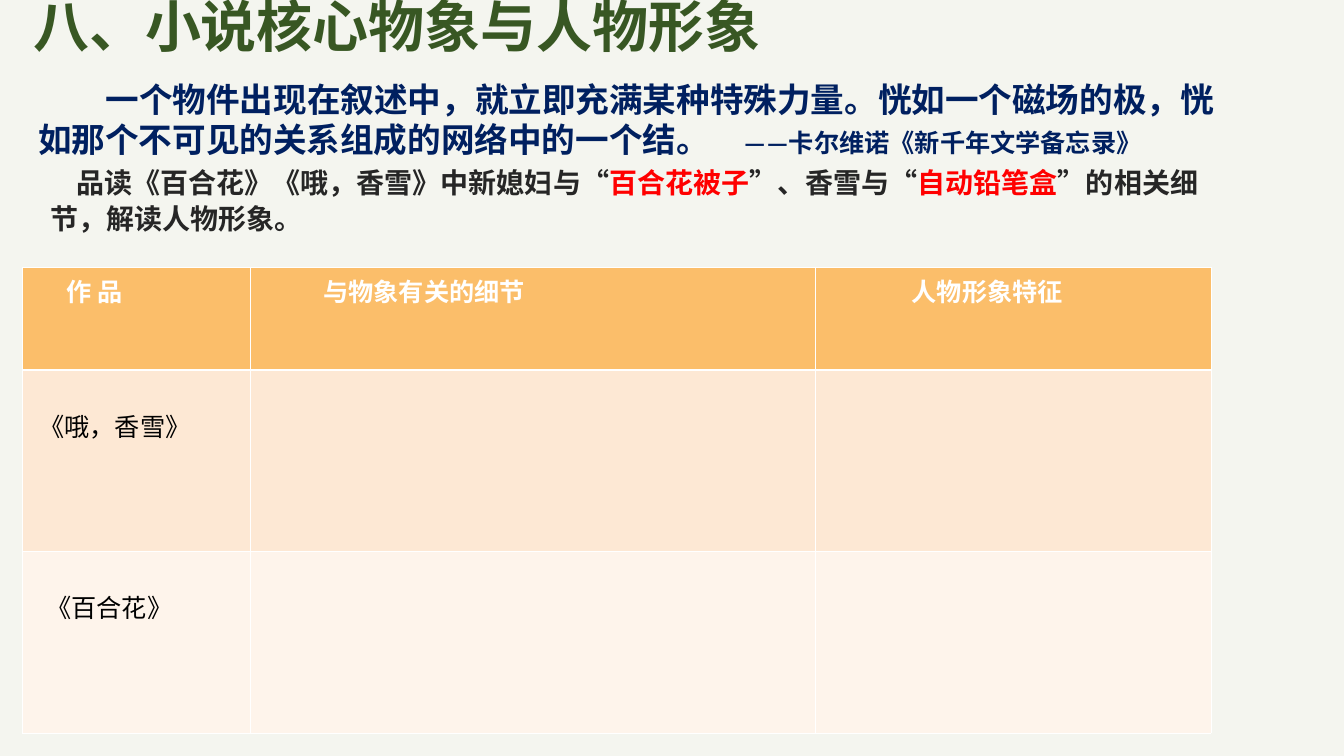
import dataclasses

import lxml.etree
import pptx
import pptx.dml.color
import pptx.oxml.ns
import pptx.util

Inches = pptx.util.Inches
Pt = pptx.util.Pt


@dataclasses.dataclass(frozen=True)
class Theme:
    """Colours, fonts and type sizes of the slide."""
    background: str = "F4F5EF"
    title: str = "385723"
    quote: str = "002060"
    body: str = "262626"
    accent: str = "FF0000"
    header_text: str = "FFFFFF"
    cell_text: str = "000000"
    border: str = "FFFFFF"
    row_fills: tuple = ("FBBE6A", "FDE8D4", "FEF4EB")
    chinese_font: str = "Noto Sans CJK SC"
    quote_font: str = "Calibri"
    table_font: str = "Arial"
    title_size: int = 40
    quote_size: int = 24
    body_size: int = 20
    small_size: int = 18
    thin_line: float = 0.45
    thick_line: float = 1.47


class SlideBuilder:
    """Hold the theme and the current slide, and add elements to it."""

    def __init__(self, presentation, theme):
        """Add a blank slide with the theme background."""
        self.theme = theme
        self.slide = presentation.slides.add_slide(presentation.slide_layouts[6])
        fill = self.slide.background.fill
        fill.solid()
        fill.fore_color.rgb = self.color(theme.background)

    @staticmethod
    def color(value):
        """Turn a hex string into a colour."""
        return pptx.dml.color.RGBColor.from_string(value)

    def run(self, paragraph, text, color, size, name, east_asian, bold=True):
        """Add one formatted run to a paragraph."""
        run = paragraph.add_run()
        run.text = text
        for attribute, value in {"name": name, "size": Pt(size), "bold": bold}.items():
            setattr(run.font, attribute, value)
        run.font.color.rgb = self.color(color)
        properties = run.font._element
        lxml.etree.SubElement(properties, pptx.oxml.ns.qn("a:ea"), typeface=east_asian)

    def text(self, box, margins, runs, font, indent=0, tab=None, **spacing):
        """Add a wrapped text box holding one paragraph of (text, colour, size) runs."""
        shape = self.slide.shapes.add_textbox(*map(Inches, box))
        frame = shape.text_frame
        frame.word_wrap = True
        sides = ("margin_left", "margin_top", "margin_right", "margin_bottom")
        for side, margin in zip(sides, margins):
            setattr(frame, side, Inches(margin))
        paragraph = frame.paragraphs[0]
        for attribute, value in spacing.items():
            setattr(paragraph, attribute, value)
        properties = paragraph._p.get_or_add_pPr()
        properties.set("indent", str(Inches(indent)))
        if tab:
            tabs = lxml.etree.SubElement(properties, pptx.oxml.ns.qn("a:tabLst"))
            lxml.etree.SubElement(tabs, pptx.oxml.ns.qn("a:tab"), pos=str(Inches(tab)), algn="l")
        for text, color, size in runs:
            self.run(paragraph, text, color, size, font, font)

    def borders(self, cell, row):
        """Draw the four cell borders, thick between header and body."""
        properties = cell._tc.get_or_add_tcPr()
        for side in "LRTB":
            thick = (row, side) in ((0, "B"), (1, "T"))
            width = self.theme.thick_line if thick else self.theme.thin_line
            line = lxml.etree.SubElement(
                properties, pptx.oxml.ns.qn(f"a:ln{side}"), w=str(Pt(width)))
            fill = lxml.etree.SubElement(line, pptx.oxml.ns.qn("a:solidFill"))
            lxml.etree.SubElement(fill, pptx.oxml.ns.qn("a:srgbClr"), val=self.theme.border)

    def table(self, box, widths, heights, rows):
        """Add a table whose cells are (text, left indent) pairs."""
        theme = self.theme
        shape = self.slide.shapes.add_table(len(rows), len(widths), *map(Inches, box))
        table = shape.table
        for column, width in zip(table.columns, widths):
            column.width = Inches(width)
        for index, (height, row) in enumerate(zip(heights, rows)):
            table.rows[index].height = Inches(height)
            header = index == 0
            for column, (text, indent) in enumerate(row):
                cell = table.cell(index, column)
                self.borders(cell, index)
                cell.fill.solid()
                cell.fill.fore_color.rgb = self.color(theme.row_fills[index])
                cell.margin_left = Inches(0.1 + indent)
                cell.margin_top = Inches(0.05 if header else 0.37)
                if text:
                    self.run(cell.text_frame.paragraphs[0], text,
                             theme.header_text if header else theme.cell_text,
                             theme.small_size, theme.table_font, theme.chinese_font, header)


def main():
    """Build the slide and save it."""
    presentation = pptx.Presentation()
    presentation.slide_width = Inches(13.34)
    presentation.slide_height = Inches(7.5)
    theme = Theme()
    builder = SlideBuilder(presentation, theme)

    builder.text((0.22, -0.05, 11.87, 0.48), (0.11, 0.04, 0.08, 0.04),
                 [("八、小说核心物象与人物形象", theme.title, theme.title_size)],
                 theme.chinese_font, line_spacing=0.9)

    task = [("品读《百合花》《哦，香雪》中新媳妇与“", theme.body),
            ("百合花被子", theme.accent),
            ("”、香雪与“", theme.body),
            ("自动铅笔盒", theme.accent),
            ("”的相关细节，解读人物形象。", theme.body)]
    builder.text((0.39, 1.61, 11.87, 5.89), (0.11, 0, 0.09, 0),
                 [(text, color, theme.body_size) for text, color in task],
                 theme.chinese_font, indent=0.26, line_spacing=1.09, space_after=Pt(10))

    builder.table((0.22, 2.65, 11.8, 4.62), (2.26, 5.61, 3.93), (1.02, 1.8, 1.8), [
        [("作 品", 0.34), ("与物象有关的细节", 0.63), ("人物形象特征", 0.86)],
        [("《哦，香雪》", 0.07), ("", 0), ("", 0)],
        [("《百合花》", 0.14), ("", 0), ("", 0)],
    ])

    quote = ("一个物件出现在叙述中，就立即充满某种特殊力量。恍如一个磁场的极，"
             "恍如那个不可见的关系组成的网络中的一个结。\t")
    builder.text((0.28, 0.73, 12.09, 0.9), (0.1, 0.05, 0.1, 0.05),
                 [(quote, theme.quote, theme.quote_size),
                  ("——卡尔维诺《新千年文学备忘录》", theme.quote, theme.small_size)],
                 theme.quote_font, indent=0.67, tab=7.67)

    presentation.save("out.pptx")


if __name__ == "__main__":
    main()
